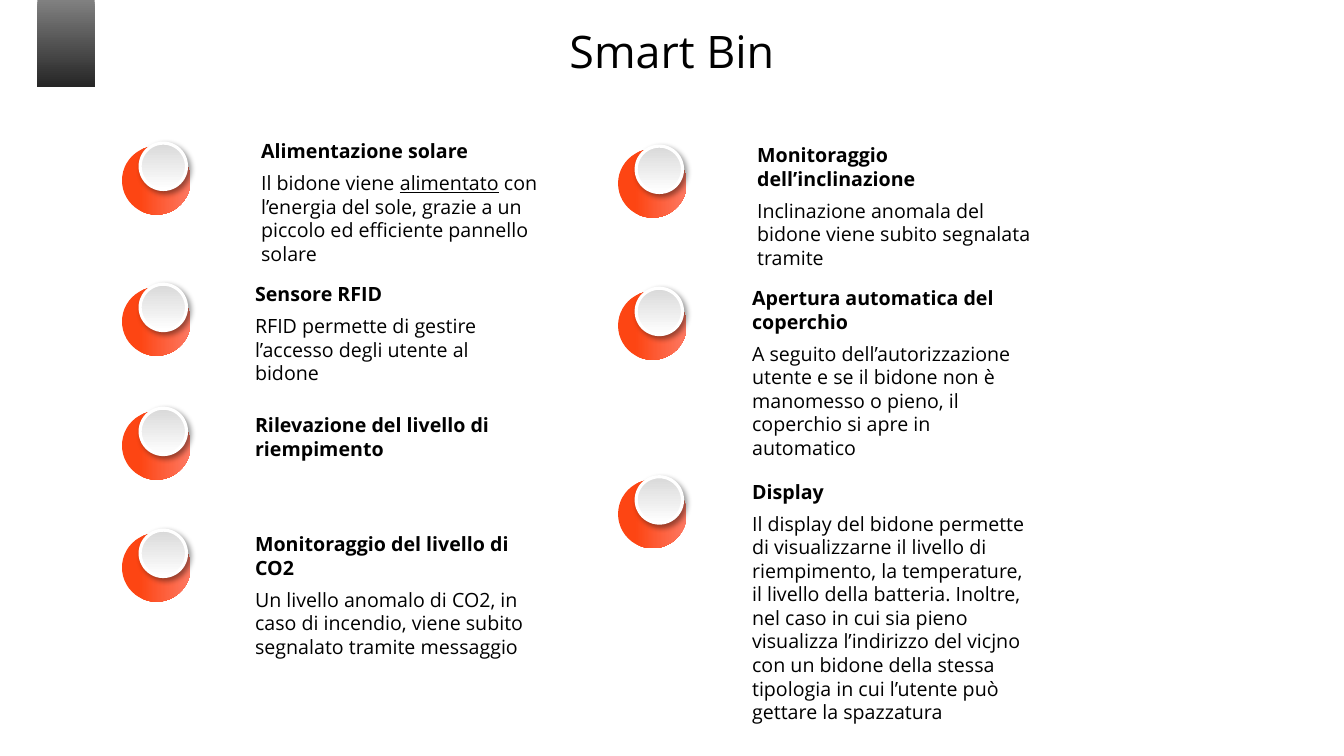
from lxml import etree
from pptx import Presentation
from pptx.dml.color import RGBColor
from pptx.enum.shapes import MSO_SHAPE
from pptx.enum.text import MSO_ANCHOR, PP_ALIGN
from pptx.oxml.ns import qn
from pptx.util import Inches, Pt

OVAL, RECT = MSO_SHAPE.OVAL, MSO_SHAPE.RECTANGLE
MIDDLE, CENTER = MSO_ANCHOR.MIDDLE, PP_ALIGN.CENTER
FONT = "Open Sans"
COLORS = {
    "text": "000000", "white": "FFFFFF",
    "tab_top": "808080", "tab_bottom": "262626",
    "orange": "FD4513", "coral": "FD7963",
    "silver": "D9D9D9", "shadow": "000000",
}


def add_gradient_shape(kind, x, y, w, h, stops, angle):
    sp = slide.shapes.add_shape(kind, Inches(x), Inches(y), Inches(w), Inches(h))
    sp.shadow.inherit = False
    sp.line.fill.background()
    sp.fill.gradient()
    sp.fill.gradient_angle = angle
    for stop, (position, name) in zip(sp.fill.gradient_stops, stops):
        stop.position = position
        stop.color.rgb = RGBColor.from_string(COLORS[name])
    return sp


def format_run(r, size, bold=False):
    r.font.name = FONT
    r.font.size = Pt(size)
    r.font.bold = bold
    r.font.color.rgb = RGBColor.from_string(COLORS["text"])


prs = Presentation()
prs.slide_width, prs.slide_height = Inches(13.33), Inches(7.5)
slide = prs.slides.add_slide(prs.slide_layouts[5])

add_gradient_shape(RECT, 0.37, 0, 0.57, 0.86, [(0, "tab_top"), (1, "tab_bottom")], 270)

title = slide.shapes.title
title.left, title.top = Inches(0), Inches(0.18)
title.width, title.height = Inches(13.33), Inches(0.64)
tf = title.text_frame
tf.text = "Smart Bin"
tf.vertical_anchor = MIDDLE
tf.paragraphs[0].alignment = CENTER
format_run(tf.paragraphs[0].runs[0], 32)

features = [
    (1.21, 1.45, 2.59, 1.38, 1.26, "Alimentazione solare",
     ["Il bidone viene ", "alimentato",
      " con l’energia del sole, grazie a un piccolo ed efficiente pannello solare"]),
    (1.21, 2.85, 2.53, 2.8, 0.79, "Sensore RFID",
     ["RFID permette di gestire l’accesso degli utente al bidone"]),
    (1.21, 4.08, 2.53, 4.1, 0.47, "Rilevazione del livello di riempimento", []),
    (1.21, 5.29, 2.53, 5.28, 1.26, "Monitoraggio del livello di CO2",
     ["Un livello anomalo di CO2, in caso di incendio, viene subito "
      "segnalato tramite messaggio"]),
    (6.13, 1.48, 7.51, 1.42, 1.26, "Monitoraggio dell’inclinazione",
     ["Inclinazione anomala del bidone viene subito segnalata tramite"]),
    (6.13, 2.89, 7.46, 2.84, 1.5, "Apertura automatica del coperchio",
     ["A seguito dell’autorizzazione utente e se il bidone non è manomesso o pieno, "
      "il coperchio si apre in automatico"]),
    (6.13, 4.76, 7.46, 4.76, 2.44, "Display",
     ["Il display del bidone permette di visualizzarne il livello di riempimento, "
      "la temperature, il livello della batteria. Inoltre, nel caso in cui sia pieno "
      "visualizza l’indirizzo del vicjno con un bidone della stessa tipologia in cui "
      "l’utente può gettare la spazzatura"]),
]

for disc_x, disc_y, text_x, text_y, text_h, heading, body in features:
    add_gradient_shape(OVAL, disc_x, disc_y, 0.68, 0.68, [(0.25, "orange"), (1, "coral")], 0)
    button = add_gradient_shape(OVAL, disc_x + 0.18, disc_y - 0.03, 0.46, 0.46,
                                [(0, "silver"), (1, "white")], 270)
    button.line.color.rgb = RGBColor.from_string(COLORS["white"])
    button.line.width = Pt(2.25)
    effects = button._element.spPr.find(qn("a:effectLst"))
    shadow = etree.SubElement(effects, qn("a:outerShdw"), blurRad=str(Pt(4)),
                              dist=str(Pt(3)), dir="2700000", algn="tl", rotWithShape="0")
    color = etree.SubElement(shadow, qn("a:srgbClr"), val=COLORS["shadow"])
    etree.SubElement(color, qn("a:alpha"), val="40000")

    box = slide.shapes.add_textbox(Inches(text_x), Inches(text_y), Inches(2.8), Inches(text_h))
    tf = box.text_frame
    tf.word_wrap = True
    tf.margin_left = tf.margin_top = tf.margin_right = tf.margin_bottom = 0
    p = tf.paragraphs[0]
    p.text = heading
    format_run(p.runs[0], 14, bold=True)
    if body:
        p = tf.add_paragraph()
        p.space_before = Pt(6)
        for text in body:
            r = p.add_run()
            r.text = text
            format_run(r, 14)
            r.font.underline = text == "alimentato"

prs.save("out.pptx")
